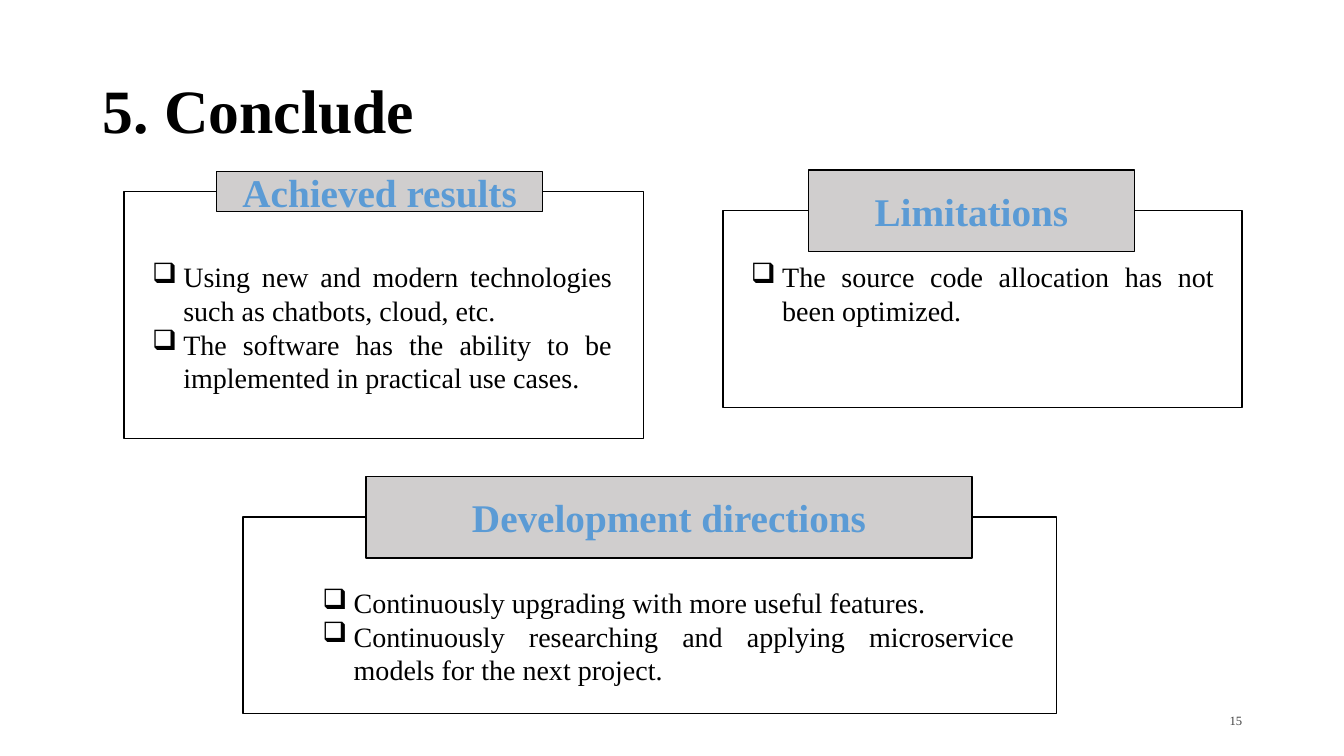
import pptx
import pptx.util
import pptx.dml.color
import pptx.enum.shapes
import pptx.enum.text
import pptx.oxml.ns
import lxml.etree

ALIGN = pptx.enum.text.PP_ALIGN
ANCHOR = pptx.enum.text.MSO_ANCHOR
RECT = pptx.enum.shapes.MSO_SHAPE.RECTANGLE
FONT = "Times New Roman"
HUES = {"ink": "000000", "tab": "D0CECE", "head": "5B9BD5", "num": "404040"}
CELL = 0.1  # grid step in inches
COLS, ROWS = 133.3, 75

# Text formats
TITLE = {"size": 44, "bold": True, "hue": "ink", "align": ALIGN.LEFT}
HEAD = {"size": 28, "bold": True, "hue": "head", "align": ALIGN.CENTER}
ITEM = {"size": 20, "bold": False, "hue": "ink", "align": ALIGN.JUSTIFY}
NUM = {"size": 9, "bold": False, "hue": "num", "align": ALIGN.RIGHT}


def grid(*cells):
    return [pptx.util.Inches(round(c * CELL, 3)) for c in cells]


def color(key):
    return pptx.dml.color.RGBColor.from_string(HUES[key])


def write(frame, lines, look, anchor=ANCHOR.MIDDLE):
    for name, value in {"word_wrap": True, "vertical_anchor": anchor,
                        "auto_size": pptx.enum.text.MSO_AUTO_SIZE.NONE}.items():
        setattr(frame, name, value)
    frame.text = "\n".join(lines)
    for para in frame.paragraphs:
        para.alignment = look["align"]
        font = para.runs[0].font
        for name, value in {"name": FONT, "bold": look["bold"],
                            "size": pptx.util.Pt(look["size"])}.items():
            setattr(font, name, value)
        font.color.rgb = color(look["hue"])


def bullet(para):
    props = para._p.get_or_add_pPr()
    step = pptx.util.Inches(0.31)
    for name, value in {"marL": step, "indent": -step}.items():
        props.set(name, str(value))
    mark = lxml.etree.SubElement(props, pptx.oxml.ns.qn("a:buChar"))
    mark.set("char", "❑")


def block(group, box, fill=None):
    shape = group.shapes.add_shape(RECT, *grid(*box))
    shape.shadow.inherit = False
    if fill:
        shape.fill.solid()
        shape.fill.fore_color.rgb = color(fill)
    else:
        shape.fill.background()
    shape.line.color.rgb = color("ink")
    shape.line.width = pptx.util.Pt(1)
    return shape


def panel(slide, box, tab, body, head, items):
    """Framed list; tab is (offset, width, height), body is a box within the frame."""
    left, top = box[:2]
    group = slide.shapes.add_group_shape()
    block(group, box)
    # Heading straddles the top edge
    shift, wide, high = tab
    label = block(group, (left + shift, top - high / 2, wide, high), "tab")
    write(label.text_frame, [head], HEAD)
    # Bulleted list
    dx, dy, wide, high = body
    text = slide.shapes.add_textbox(*grid(left + dx, top + dy, wide, high))
    write(text.text_frame, items, ITEM, ANCHOR.TOP)
    for para in text.text_frame.paragraphs:
        bullet(para)


def title(slide, box, words):
    shape = slide.shapes.title
    for name, value in zip(("left", "top", "width", "height"), grid(*box)):
        setattr(shape, name, value)
    write(shape.text_frame, [words], TITLE)
    shape.text_frame.paragraphs[0].line_spacing = 0.9


def number(slide, box, words):
    shape = slide.shapes.add_textbox(*grid(*box))
    write(shape.text_frame, [words], NUM)


def main():
    deck = pptx.Presentation()
    deck.slide_width, deck.slide_height = grid(COLS, ROWS)
    slide = deck.slides.add_slide(deck.slide_layouts.get_by_name("Title Only"))

    title(slide, (9.2, 4, 115, 14.5), "5. Conclude")
    panel(slide, (12.3, 19, 51.5, 24.5), (9.2, 32.3, 4), (1.8, 6.3, 47.6, 14.5),
          "Achieved results",
          ["Using new and modern technologies such as chatbots, cloud, etc.",
           "The software has the ability to be implemented in practical use cases."])
    panel(slide, (71.7, 20.9, 51.5, 19.5), (8.5, 32.3, 8.1), (1.8, 4.4, 47.9, 7.7),
          "Limitations",
          ["The source code allocation has not been optimized."])
    panel(slide, (24.1, 51.3, 80.7, 19.5), (12.2, 60.1, 8.1), (6.9, 6.3, 70.6, 11.1),
          "Development directions",
          ["Continuously upgrading with more useful features.",
           "Continuously researching and applying microservice models for the next project."])
    number(slide, (94.2, 69.5, 30, 4), "15")

    deck.save("out.pptx")


if __name__ == "__main__":
    main()
